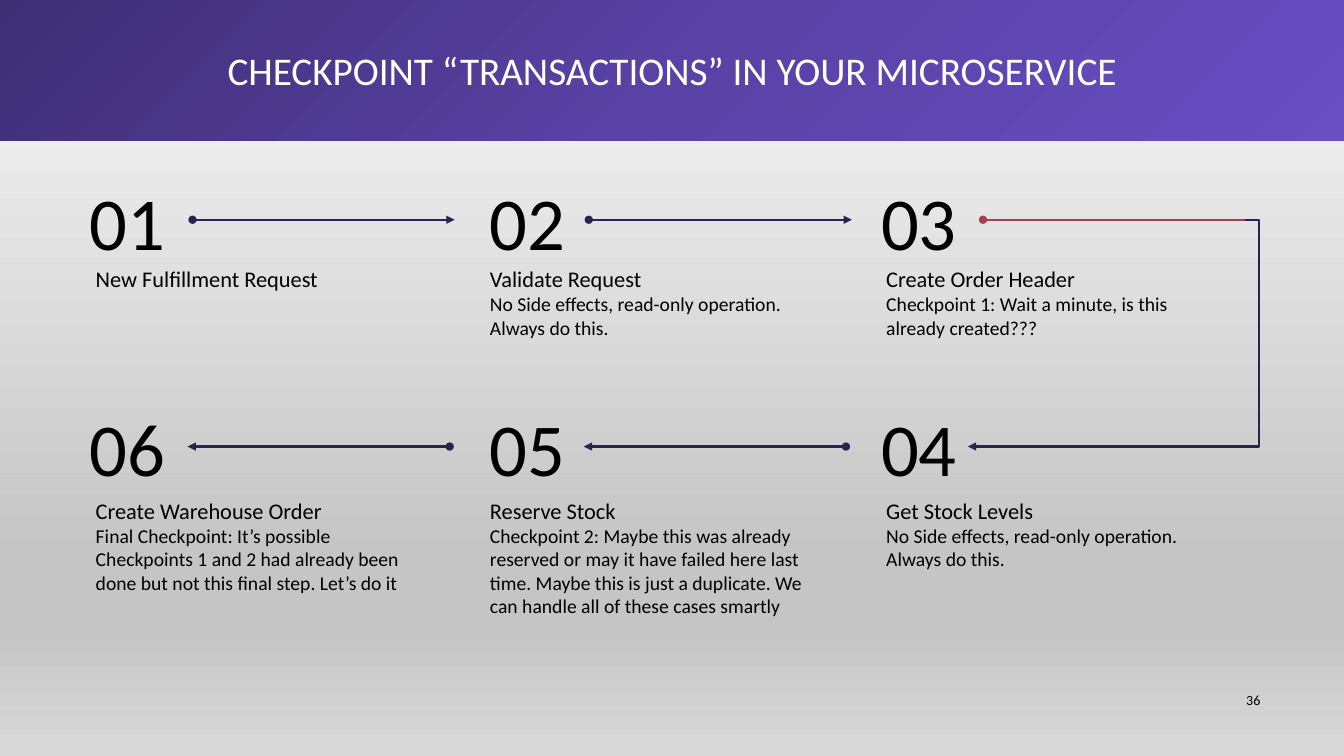
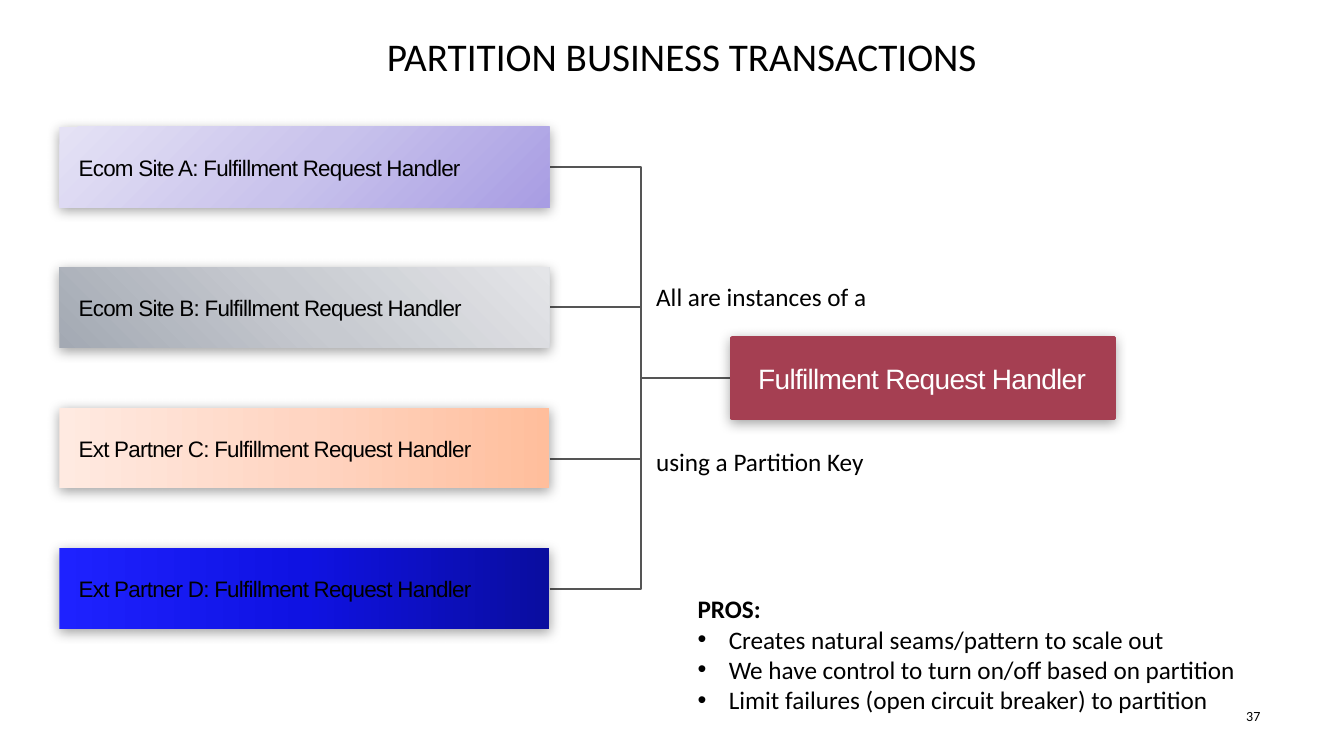
import pptx
import pptx.util
import pptx.dml.color
import pptx.enum.shapes
import pptx.enum.text
import pptx.oxml
import pptx.oxml.ns

Inches = pptx.util.Inches
Pt = pptx.util.Pt
RGBColor = pptx.dml.color.RGBColor
SHAPE = pptx.enum.shapes.MSO_SHAPE
CONNECTOR = pptx.enum.shapes.MSO_CONNECTOR
ALIGN = pptx.enum.text.PP_ALIGN
ANCHOR = pptx.enum.text.MSO_ANCHOR
qn = pptx.oxml.ns.qn
NAMESPACE = pptx.oxml.ns.nsdecls("a")

BLACK = RGBColor(0x00, 0x00, 0x00)
WHITE = RGBColor(0xFF, 0xFF, 0xFF)
NAVY = RGBColor(0x2C, 0x21, 0x53)
CRIMSON = RGBColor(0xA5, 0x3F, 0x52)
GRAY = RGBColor(0x55, 0x55, 0x55)
TITLE_SIZE = 28


def write_text(box, lines, color=BLACK, font="Calibri", align=ALIGN.LEFT,
               anchor=ANCHOR.TOP, margins=(0, 0, 0, 0)):
    frame = box.text_frame
    frame.word_wrap = True
    frame.vertical_anchor = anchor
    frame.margin_left, frame.margin_top, frame.margin_right, frame.margin_bottom = map(Inches, margins)
    for index, (text, size) in enumerate(lines):
        para = frame.add_paragraph() if index else frame.paragraphs[0]
        para.alignment = align
        span = para.add_run()
        span.text = text
        span.font.size = Pt(size)
        span.font.name = font
        span.font.color.rgb = color
    return frame


def paint_gradient(fill, element, angle, stops):
    fill.gradient()
    fill.gradient_angle = (360 - angle) % 360
    stop_list = next(element.iter(qn("a:gsLst")))
    for stop in list(stop_list):
        stop_list.remove(stop)
    for position, color in stops:
        stop_list.append(pptx.oxml.parse_xml(
            f'<a:gs {NAMESPACE} pos="{position * 1000}"><a:srgbClr val="{color}"/></a:gs>'))


deck = pptx.Presentation()
deck.slide_width = Inches(13.33)
deck.slide_height = Inches(7.5)
blank = deck.slide_layouts[6]
steps_page = deck.slides.add_slide(blank)
partition_page = deck.slides.add_slide(blank)

paint_gradient(steps_page.background.fill, steps_page.element, 90, [
    (0, RGBColor(0xF9, 0xF9, 0xF9)), (74, RGBColor(0xC5, 0xC5, 0xC5)),
    (83, RGBColor(0xC5, 0xC5, 0xC5)), (100, RGBColor(0xD9, 0xD9, 0xD9))])
partition_page.background.fill.solid()
partition_page.background.fill.fore_color.rgb = WHITE

band = steps_page.shapes.add_shape(SHAPE.RECTANGLE, 0, 0, deck.slide_width, Inches(1.39))
band.shadow.inherit = False
band.line.fill.background()
paint_gradient(band.fill, band.element, 45, [
    (0, RGBColor(0x3E, 0x2E, 0x74)), (50, RGBColor(0x58, 0x42, 0xA5)),
    (100, RGBColor(0x68, 0x4E, 0xC3))])
heading = partition_page.shapes.add_textbox(Inches(0.92), Inches(0.26), Inches(11.68), Inches(0.58))
for box, title, color in [
    (band, "CHECKPOINT “TRANSACTIONS” IN YOUR MICROSERVICE", WHITE),
    (heading, "PARTITION BUSINESS TRANSACTIONS", BLACK),
]:
    write_text(box, [(title, TITLE_SIZE)], color, align=ALIGN.CENTER,
               anchor=ANCHOR.MIDDLE, margins=(0.1, 0.05, 0.1, 0.05))

for page, number, top in [(steps_page, "36", 6.85), (partition_page, "37", 7.01)]:
    box = page.shapes.add_textbox(Inches(12.21), Inches(top), Inches(0.29), Inches(0.19))
    write_text(box, [(number, 10)], align=ALIGN.RIGHT, anchor=ANCHOR.MIDDLE)

NUMBER_LEFTS = [0.85, 4.82, 8.7]
CAPTION_LEFTS = [0.95, 4.86, 8.79]
NUMBER_TOPS = [1.75, 3.99]
CAPTION_TOPS = [2.63, 4.93]
steps = [
    (0, 0, "01", ["New Fulfillment Request"]),
    (0, 1, "02", ["Validate Request", "No Side effects, read-only operation. Always do this."]),
    (0, 2, "03", ["Create Order Header", "Checkpoint 1: Wait a minute, is this already created???"]),
    (1, 2, "04", ["Get Stock Levels", "No Side effects, read-only operation. Always do this."]),
    (1, 1, "05", ["Reserve Stock",
                  "Checkpoint 2: Maybe this was already reserved or may it have failed here last time. "
                  "Maybe this is just a duplicate. We can handle all of these cases smartly"]),
    (1, 0, "06", ["Create Warehouse Order",
                  "Final Checkpoint: It’s possible Checkpoints 1 and 2 had already been done "
                  "but not this final step. Let’s do it"]),
]
for row, column, number, caption in steps:
    box = steps_page.shapes.add_textbox(Inches(NUMBER_LEFTS[column]), Inches(NUMBER_TOPS[row]),
                                        Inches(0.83), Inches(0.9))
    write_text(box, [(number, 53.3)], align=ALIGN.CENTER)
    box = steps_page.shapes.add_textbox(Inches(CAPTION_LEFTS[column]), Inches(CAPTION_TOPS[row]),
                                        Inches(3.3), Inches(1.07))
    write_text(box, zip(caption, (16, 14)))

UPPER, LOWER = 2.18, 4.43
BAR_LEFT, BAR_WIDTH, BAR_HEIGHT = 0.59, 4.86, 0.8
BAR_RIGHT = BAR_LEFT + BAR_WIDTH
HANDLER_LEFT, HANDLER_MIDDLE = 7.26, 3.75
links = [
    (steps_page, CONNECTOR.STRAIGHT, (1.91, UPPER), (4.51, UPPER), NAVY, "oval", "triangle"),
    (steps_page, CONNECTOR.STRAIGHT, (5.84, UPPER), (8.45, UPPER), NAVY, "oval", "triangle"),
    (steps_page, CONNECTOR.STRAIGHT, (9.75, UPPER), (12.35, UPPER), CRIMSON, "oval", None),
    (steps_page, CONNECTOR.ELBOW, (12.35, UPPER), (9.6, LOWER), NAVY, None, "triangle"),
    (steps_page, CONNECTOR.STRAIGHT, (8.39, LOWER), (5.79, LOWER), NAVY, "oval", "triangle"),
    (steps_page, CONNECTOR.STRAIGHT, (4.46, LOWER), (1.86, LOWER), NAVY, "oval", "triangle"),
]
for middle in (1.66, 3.05, 4.55, 5.84):
    links.append((partition_page, CONNECTOR.ELBOW, (BAR_RIGHT, middle),
                  (HANDLER_LEFT, HANDLER_MIDDLE), GRAY, None, None))
for page, kind, start, finish, color, head, tail in links:
    link = page.shapes.add_connector(kind, *map(Inches, start + finish))
    link.line.color.rgb = color
    link.line.width = Pt(1.5)
    properties = link.element.spPr
    outline = properties.find(qn("a:ln"))
    for tag, ending in (("headEnd", head), ("tailEnd", tail)):
        if ending:
            outline.append(pptx.oxml.parse_xml(f'<a:{tag} {NAMESPACE} type="{ending}"/>'))
    properties.append(pptx.oxml.parse_xml(f"<a:effectLst {NAMESPACE}/>"))
    if page is steps_page and kind == CONNECTOR.ELBOW:
        geometry = properties.find(qn("a:prstGeom"))
        for guides in geometry.findall(qn("a:avLst")):
            geometry.remove(guides)
        geometry.append(pptx.oxml.parse_xml(
            f'<a:avLst {NAMESPACE}><a:gd name="adj1" fmla="val -5100"/></a:avLst>'))

handler = partition_page.shapes.add_shape(
    SHAPE.RECTANGLE, Inches(HANDLER_LEFT), Inches(HANDLER_MIDDLE - BAR_HEIGHT / 2),
    Inches(3.79), Inches(BAR_HEIGHT))
handler.fill.solid()
handler.fill.fore_color.rgb = CRIMSON
handler.line.color.rgb = CRIMSON
handler.line.width = Pt(2.25)
write_text(handler, [("Fulfillment Request Handler", 20)], WHITE, "Arial",
           anchor=ANCHOR.MIDDLE, margins=(0.26, 0.08, 0.07, 0.08))
cards = [handler]

sources = [
    ("Ecom Site A", 45, (RGBColor(0xE5, 0xE2, 0xF5), RGBColor(0xC9, 0xC3, 0xEC), RGBColor(0xA8, 0x9D, 0xE3))),
    ("Ecom Site B", 315, (RGBColor(0xA3, 0xA9, 0xB3), RGBColor(0xC7, 0xCA, 0xD0), RGBColor(0xE4, 0xE5, 0xE8))),
    ("Ext Partner C", 0, (RGBColor(0xFF, 0xEA, 0xE1), RGBColor(0xFF, 0xD5, 0xC2), RGBColor(0xFF, 0xBE, 0x9C))),
    ("Ext Partner D", 0, (RGBColor(0x1E, 0x22, 0xFF), RGBColor(0x0F, 0x12, 0xE2), RGBColor(0x0A, 0x0D, 0x9F))),
]
for index, (source, angle, colors) in enumerate(sources):
    bar = partition_page.shapes.add_shape(
        SHAPE.RECTANGLE, Inches(BAR_LEFT), Inches(1.26 + index * 1.393),
        Inches(BAR_WIDTH), Inches(BAR_HEIGHT))
    bar.line.fill.background()
    paint_gradient(bar.fill, bar.element, angle, zip((0, 50, 100), colors))
    write_text(bar, [(f"{source}: Fulfillment Request Handler", 16)], font="Arial",
               anchor=ANCHOR.MIDDLE, margins=(0.19, 0, 0, 0))
    cards.append(bar)

for card in cards:
    card.shadow.inherit = False
    card.element.spPr.find(qn("a:effectLst")).append(pptx.oxml.parse_xml(
        f'<a:outerShdw {NAMESPACE} blurRad="{Pt(9)}" dist="{Pt(2)}" dir="6000000" rotWithShape="0">'
        f'<a:srgbClr val="{BLACK}"><a:alpha val="36000"/></a:srgbClr></a:outerShdw>'))
    card.text_frame.paragraphs[0].runs[0].font._element.set("spc", "-50")

for note, top in [("All are instances of a", 2.74), ("using a Partition Key", 4.38)]:
    box = partition_page.shapes.add_textbox(Inches(6.41), Inches(top), Inches(2.5), Inches(0.4))
    write_text(box, [(note, 18)], margins=(0.1, 0.05, 0.1, 0.05))

box = partition_page.shapes.add_textbox(Inches(6.82), Inches(5.84), Inches(5.8), Inches(1.31))
pros = write_text(box, [
    ("PROS:", 18),
    ("Creates natural seams/pattern to scale out", 18),
    ("We have control to turn on/off based on partition", 18),
    ("Limit failures (open circuit breaker) to partition", 18),
], margins=(0.1, 0.05, 0.1, 0.05))
pros.paragraphs[0].runs[0].font.bold = True
for para in pros.paragraphs[1:]:
    settings = para._p.get_or_add_pPr()
    settings.set("marL", str(Inches(0.31)))
    settings.set("indent", str(-Inches(0.31)))
    settings.append(pptx.oxml.parse_xml(f'<a:buFont {NAMESPACE} typeface="Arial"/>'))
    settings.append(pptx.oxml.parse_xml(f'<a:buChar {NAMESPACE} char="•"/>'))

deck.save("out.pptx")
